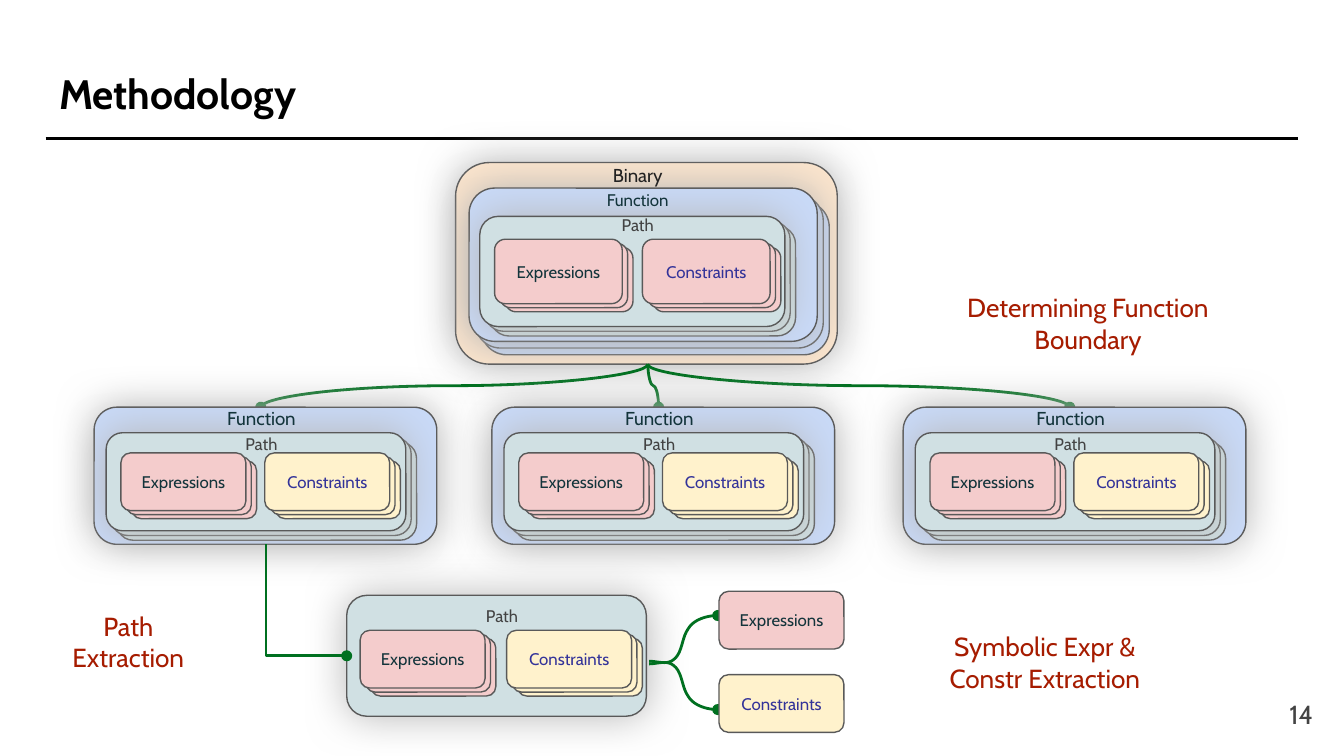
import pptx
import pptx.util
import pptx.dml.color
import pptx.enum.shapes
import pptx.enum.text
import pptx.oxml
import pptx.oxml.ns
from lxml import etree

Inches = pptx.util.Inches
qn = pptx.oxml.ns.qn
PP_ALIGN = pptx.enum.text.PP_ALIGN
ANCHOR = pptx.enum.text.MSO_ANCHOR
CONNECTOR = pptx.enum.shapes.MSO_CONNECTOR

ORANGE, BLUE, TEAL, PINK, YELLOW = "FCE5CD", "C9DAF8", "D0E0E3", "F4CCCC", "FFF2CC"
OUTLINE, GREEN, RED = "595959", "007020", "A61C00"
DARK, NAVY, GREY = "13343B", "333399", "434343"
CARD = (0.93, 0.43)


def color(hex_value):
    return pptx.dml.color.RGBColor.from_string(hex_value)


def set_text(shape, text, size=9, fill=DARK, bold=False,
             align=PP_ALIGN.CENTER, anchor=ANCHOR.MIDDLE):
    frame = shape.text_frame
    frame.word_wrap = True
    frame.auto_size = pptx.enum.text.MSO_AUTO_SIZE.NONE
    frame.vertical_anchor = anchor
    frame.margin_left = frame.margin_right = Inches(0.1)
    frame.margin_top = frame.margin_bottom = Inches(0.1)
    paragraph = frame.paragraphs[0]
    paragraph.text = text
    paragraph.alignment = align
    for run in paragraph.runs:
        run.font.name = "Cabin"
        run.font.size = pptx.util.Pt(size)
        run.font.bold = bold
        run.font.color.rgb = color(fill)


def add_label(slide, box, text, **style):
    label = slide.shapes.add_textbox(*map(Inches, box))
    set_text(label, text, **style)


def add_box(slide, box, fill, glow=False):
    card = slide.shapes.add_shape(
        pptx.enum.shapes.MSO_SHAPE.ROUNDED_RECTANGLE, *map(Inches, box))
    card.fill.solid()
    card.fill.fore_color.rgb = color(fill)
    card.line.color.rgb = color(OUTLINE)
    card.line.width = pptx.util.Pt(0.75)
    card.shadow.inherit = False
    if glow:
        effects = card._element.spPr.find(qn("a:effectLst"))
        shadow = etree.SubElement(effects, qn("a:outerShdw"), blurRad=str(pptx.util.Pt(22.5)),
                                  dist="0", dir="0", algn="bl", rotWithShape="0")
        etree.SubElement(shadow, qn("a:srgbClr"), val="B7B7B7")
    return card


def add_stack(slide, box, fill, spread=(0.08, 0.07), glow=False):
    """Three boxes, the front one at box, the rear one shifted by spread."""
    left, top, width, height = box
    for depth in (1, 0.5, 0):
        front = add_box(slide, (left + spread[0] * depth, top + spread[1] * depth, width, height),
                        fill, glow and depth == 0)
    return front


def style_line(line_shape, fill, width=1.5, end_dot=False):
    line_shape.line.color.rgb = color(fill)
    line_shape.line.width = pptx.util.Pt(width)
    properties = line_shape._element.spPr
    if end_dot:
        etree.SubElement(properties.find(qn("a:ln")), qn("a:tailEnd"), type="oval")
    if properties.find(qn("a:effectLst")) is None:
        etree.SubElement(properties, qn("a:effectLst"))


def add_descending_link(slide, start, end, kind, preset):
    """Connector that leaves its start downwards, so its frame is turned a quarter."""
    (x1, y1), (x2, y2) = start, end
    across, down = abs(x2 - x1), y2 - y1
    left, top = (x1 + x2 - down) / 2, (y1 + y2 - across) / 2
    link = slide.shapes.add_connector(
        kind, *map(Inches, (left, top, left + down, top + across)))
    properties = link._element.spPr
    frame = properties.find(qn("a:xfrm"))
    frame.set("rot", str((270 if x2 > x1 else 90) * 60000))
    if x2 > x1:
        frame.set("flipH", "1")
    properties.find(qn("a:prstGeom")).set("prst", preset)
    style_line(link, GREEN, end_dot=True)


def add_branch(slide, left, middle, side):
    """S-curve from (left, middle) to the right; side is 1 for down, -1 for up."""
    segments = [
        [(0, 0.01), (0.06, 0.01), (0.13, -0.02), (0.18, 0.02)],
        [(0.18, 0.02), (0.25, 0.07), (0.24, 0.18), (0.29, 0.25)],
        [(0.29, 0.25), (0.33, 0.32), (0.43, 0.35), (0.51, 0.35)],
    ]
    steps = 10
    points = []
    for a, b, c, d in segments:
        for step in range(steps + 1):
            t = step / steps
            dx, dy = ((1 - t) ** 3 * p + 3 * (1 - t) ** 2 * t * q + 3 * (1 - t) * t ** 2 * r
                      + t ** 3 * s for p, q, r, s in zip(a, b, c, d))
            points.append((Inches(left + dx), Inches(middle + side * dy)))
    builder = slide.shapes.build_freeform(*points[0])
    builder.add_line_segments(points[1:], close=False)
    branch = builder.convert_to_shape()
    branch.fill.background()
    branch.shadow.inherit = False
    style_line(branch, GREEN, end_dot=True)


def add_path(slide, box, label_middle, card_top, card_size, card_gap,
             card_left=0.11, constraint_fill=YELLOW, stacked=True):
    left, top, width, _ = box
    if stacked:
        add_stack(slide, box, TEAL, glow=True)
    else:
        add_box(slide, box, TEAL, glow=True)
    add_label(slide, (left + 0.34, top + label_middle - 0.1, width - 0.6, 0.2), "Path", fill=GREY)
    cards = [("Expressions", PINK, DARK), ("Constraints", constraint_fill, NAVY)]
    for index, (name, fill, ink) in enumerate(cards):
        card_box = (left + card_left + index * card_gap, top + card_top, *card_size)
        set_text(add_stack(slide, card_box, fill, (0.08, 0.06)), name, fill=ink)


def add_binary(slide, box):
    left, top, _, _ = box
    add_box(slide, box, ORANGE, glow=True)
    add_stack(slide, (left + 0.1, top + 0.19, 2.59, 1.14), BLUE, (0.09, 0.1), glow=True)
    add_label(slide, (left + 0.52, top - 0.01, 1.67, 0.21), "Binary", size=10, fill="212121")
    add_path(slide, (left + 0.18, top + 0.4, 2.27, 0.82), 0.06, 0.17, (0.95, 0.48), 1.1,
             constraint_fill=PINK)
    add_label(slide, (left + 0.52, top + 0.19, 1.67, 0.18), "Function")


def add_function(slide, box):
    left, top, _, _ = box
    add_box(slide, box, BLUE, glow=True)
    add_path(slide, (left + 0.09, top + 0.19, 2.23, 0.73), 0.08, 0.15, CARD, 1.07)
    add_label(slide, (left + 0.42, top, 1.65, 0.16), "Function", size=10)


def add_header(slide, box):
    left, top, width, _ = box
    title = slide.shapes.title
    title.left, title.top, title.width, title.height = map(Inches, box)
    set_text(title, "Methodology", size=22, fill="000000", bold=True,
             align=PP_ALIGN.LEFT, anchor=ANCHOR.TOP)
    rule = slide.shapes.add_connector(
        CONNECTOR.STRAIGHT, *map(Inches, (left, top + 0.62, left + width, top + 0.62)))
    style_line(rule, "000000")


# Widescreen slide, 16 to 9
presentation = pptx.Presentation()
presentation.slide_width = Inches(10)
presentation.slide_height = Inches(10) * 9 // 16
slide = presentation.slides.add_slide(presentation.slide_layouts[5])

add_header(slide, (0.34, 0.41, 9.32, 0.63))
add_label(slide, (9.27, 5.1, 0.6, 0.43), "14", size=14, fill=GREY, align=PP_ALIGN.RIGHT)

# Binary, split into three functions
add_binary(slide, (3.39, 1.21, 2.84, 1.5))
function_lefts = (0.7, 3.66, 6.72)
for function_left in function_lefts:
    add_descending_link(slide, (4.82, 2.71), (function_left + 1.24, 3.03),
                        CONNECTOR.CURVE, "curvedConnector3")
for function_left in function_lefts:
    add_function(slide, (function_left, 3.03, 2.55, 1.02))

# One path taken from the first function
add_path(slide, (2.58, 4.43, 2.23, 0.9), 0.15, 0.26, CARD, 1.09, card_left=0.1, stacked=False)
add_descending_link(slide, (1.98, 4.05), (2.58, 4.88), CONNECTOR.ELBOW, "bentConnector2")

# The path split into its expressions and constraints
for side in (1, -1):
    add_branch(slide, 4.83, 4.93, side)
set_text(add_box(slide, (5.35, 4.4, *CARD), PINK), "Expressions")
set_text(add_box(slide, (5.35, 5.02, *CARD), YELLOW), "Constraints", fill=NAVY)

# Step captions
for caption, caption_box in [
    ("Determining Function Boundary", (6.85, 2.03, 2.49, 0.75)),
    ("Path\nExtraction", (0.17, 4.4, 1.57, 0.75)),
    ("Symbolic Expr & Constr Extraction", (6.73, 4.58, 2.09, 0.69)),
]:
    add_label(slide, caption_box, caption, size=14, fill=RED)

presentation.save("out.pptx")
